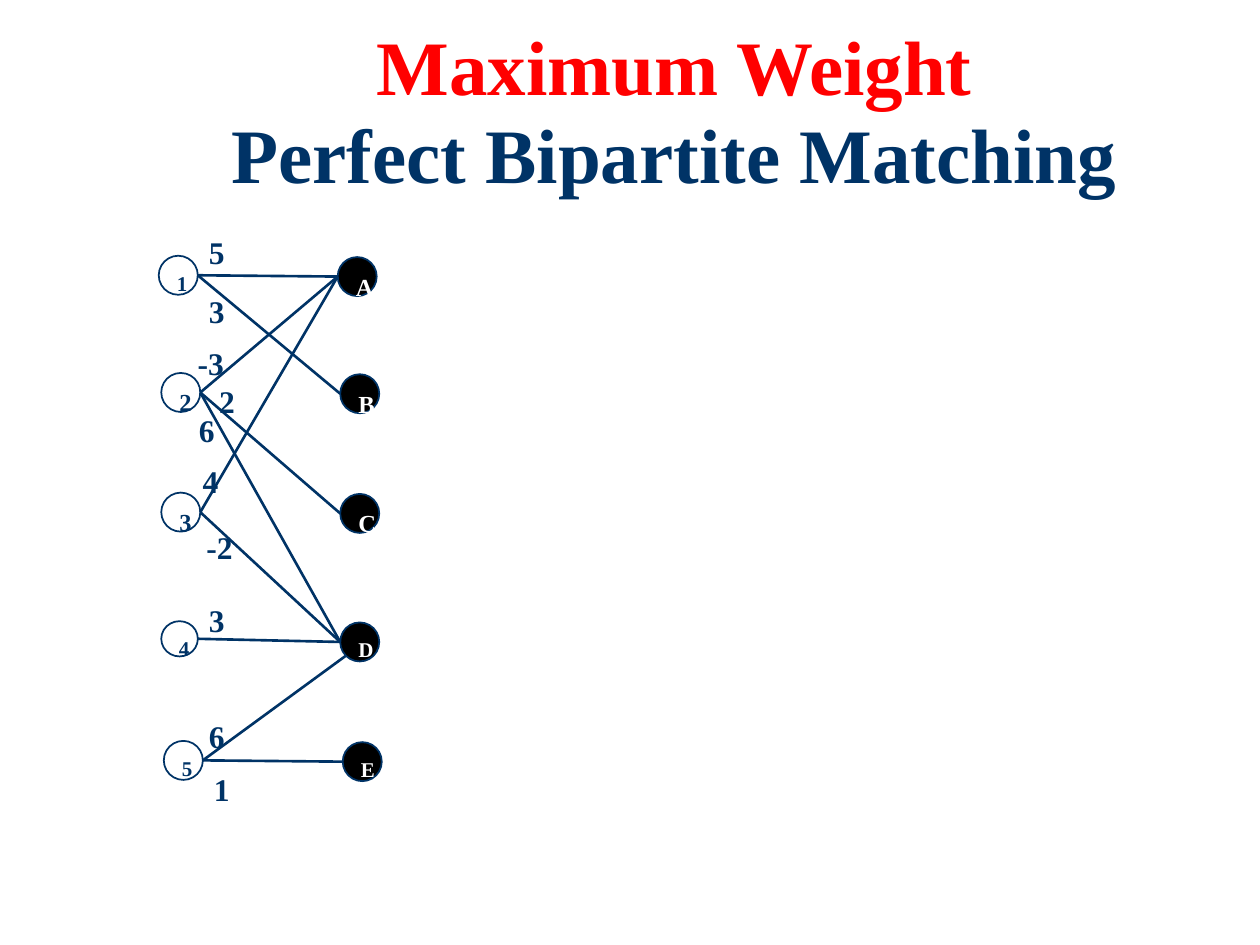
from dataclasses import dataclass

from lxml.etree import SubElement
from pptx import Presentation
from pptx.dml.color import RGBColor
from pptx.enum.shapes import MSO_CONNECTOR, MSO_SHAPE
from pptx.enum.text import MSO_ANCHOR, PP_ALIGN
from pptx.oxml.ns import qn
from pptx.util import Inches, Pt


@dataclass(frozen=True)
class Theme:
    font: str = "Times New Roman"
    navy: RGBColor = RGBColor(0x00, 0x33, 0x66)
    red: RGBColor = RGBColor(0xFF, 0x00, 0x00)
    white: RGBColor = RGBColor(0xFF, 0xFF, 0xFF)
    black: RGBColor = RGBColor(0x00, 0x00, 0x00)
    title_size: int = 44
    weight_size: int = 18
    large_node_size: int = 14
    small_node_size: int = 12


theme = Theme()

deck = Presentation()
deck.slide_width, deck.slide_height = Inches(10), Inches(7.5)
slide = deck.slides.add_slide(deck.slide_layouts[6])

# Grid of 100 columns by 75 rows
COLUMN = deck.slide_width / 100
ROW = deck.slide_height / 75


def grid(column, row):
    return round(column * COLUMN), round(row * ROW)


def write(shape, *lines, size, align=PP_ALIGN.LEFT, wrap=False, spacing=1.0):
    """Write (text, colour) lines, parted by line breaks, into one paragraph."""
    frame = shape.text_frame
    frame.word_wrap = wrap
    frame.vertical_anchor = MSO_ANCHOR.TOP
    frame.margin_top = Inches(0.07)
    paragraph = frame.paragraphs[0]
    paragraph.alignment = align
    paragraph.line_spacing = spacing
    for number, (text, colour) in enumerate(lines):
        if number:
            paragraph.add_line_break()
        run = paragraph.add_run()
        run.text = text
        run.font.name = theme.font
        run.font.size = Pt(size)
        run.font.bold = True
        run.font.color.rgb = colour


# Title
title = slide.shapes.add_textbox(*grid(14.3, 1.3), *grid(80, 9.2))
write(title, ("Maximum Weight ", theme.red),
      ("Perfect Bipartite Matching ", theme.navy),
      size=theme.title_size, align=PP_ALIGN.CENTER, wrap=True, spacing=0.95)

# Vertices: each pair shares a row, the black one 14.2 columns to the right
DIAMETER = 3.1
SMALL = theme.small_node_size
LARGE = theme.large_node_size
pairs = [
    # left name, size, right name, size, column, row, left width, left height
    ("1", SMALL, "A", LARGE, 12.6, 20.3, DIAMETER, DIAMETER),
    ("2", LARGE, "B", LARGE, 12.8, 29.6, DIAMETER, DIAMETER),
    ("3", LARGE, "C", LARGE, 12.8, 39.1, DIAMETER, DIAMETER),
    ("4", SMALL, "D", SMALL, 12.8, 49.3, 2.9, 2.8),
    ("5", SMALL, "E", SMALL, 13.0, 58.8, DIAMETER, DIAMETER),
]
vertices = {}
for left, left_size, right, right_size, column, row, width, height in pairs:
    for name, size, x, y, w, h, fill, ink in (
        (left, left_size, column, row, width, height, theme.white, theme.navy),
        (right, right_size, column + 14.2, row + 0.1, DIAMETER, DIAMETER,
         theme.black, theme.white),
    ):
        vertex = slide.shapes.add_shape(MSO_SHAPE.OVAL, *grid(x, y), *grid(w, h))
        vertex.shadow.inherit = False
        vertex.fill.solid()
        vertex.fill.fore_color.rgb = fill
        vertex.line.color.rgb = theme.navy
        vertex.line.width = Pt(1)
        write(vertex, (name, ink), size=size)
        vertices[name] = vertex

# Weighted edges: from, to, weight, column and row of the weight
edges = [
    ("1", "A", "5", 15.6, 17.8),
    ("1", "B", "3", 15.6, 22.5),
    ("2", "A", "-3", 14.7, 26.6),
    ("2", "C", "2", 16.4, 29.6),
    ("2", "D", "6", 14.8, 31.9),
    ("3", "A", "4", 15.1, 36.0),
    ("3", "D", "-2", 15.4, 41.2),
    ("4", "D", "3", 15.6, 47.0),
    ("5", "D", "6", 15.6, 56.2),
    ("5", "E", "1", 16.0, 60.4),
]
for start, end, *_ in edges:
    source, target = vertices[start], vertices[end]
    # The rising edge 5-D meets its circle at the lower left, all others at the left
    across, down = (0.15, 0.85) if (start, end) == ("5", "D") else (0, 0.5)
    edge = slide.shapes.add_connector(
        MSO_CONNECTOR.STRAIGHT,
        source.left + source.width, source.top + source.height // 2,
        round(target.left + across * target.width),
        round(target.top + down * target.height))
    edge.line.color.rgb = theme.navy
    edge.line.width = Pt(1.5)
    SubElement(edge.element.spPr, qn("a:effectLst"))

# Edge weights
for _, _, weight, column, row in edges:
    label = slide.shapes.add_textbox(
        *grid(column, row), *grid(2.5 + 0.8 * len(weight), 4))
    write(label, (weight, theme.navy), size=theme.weight_size)

deck.save("out.pptx")
